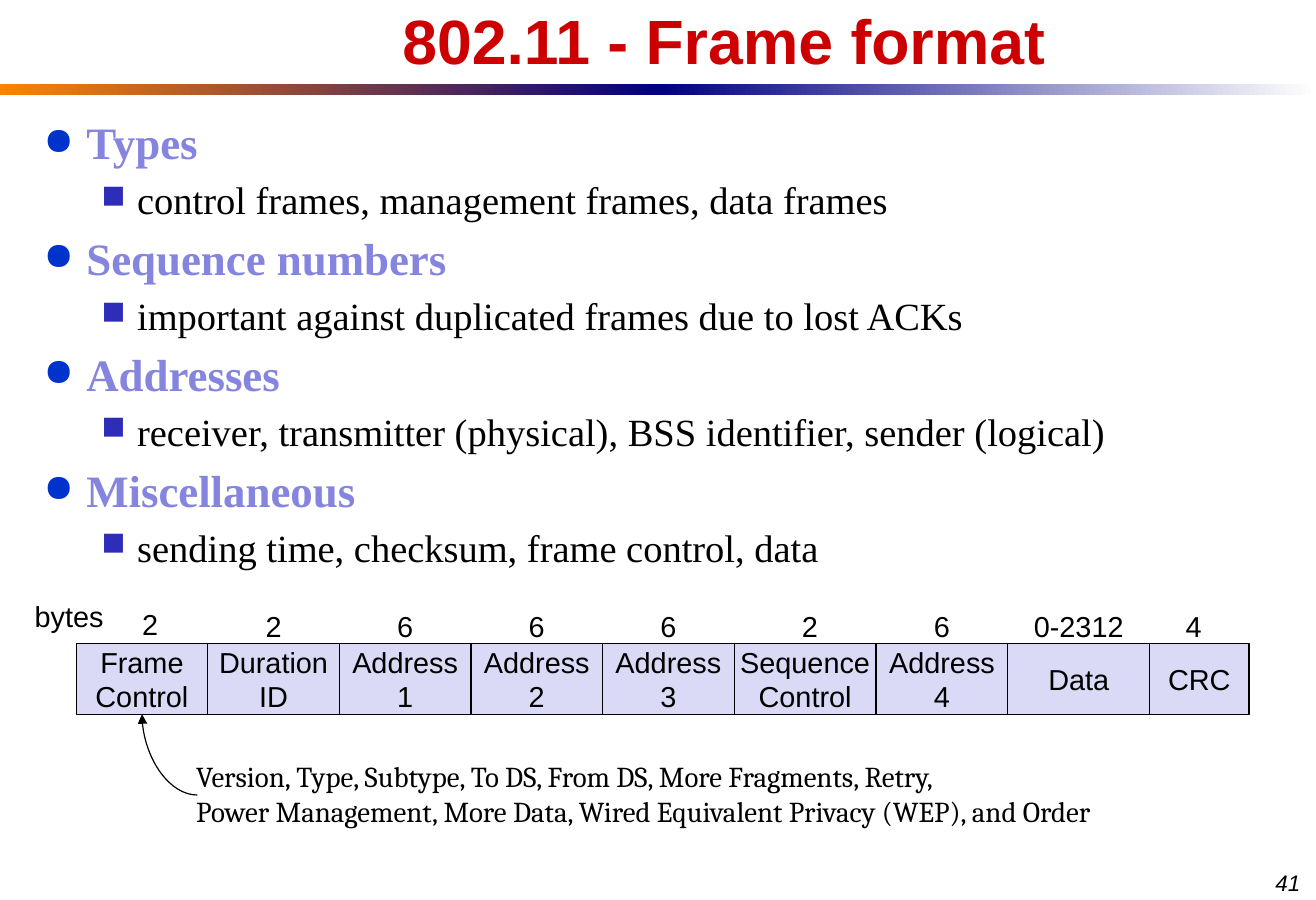
from pptx import Presentation
from pptx import util as u
from pptx.dml import color
from pptx.enum import shapes, text
from pptx.oxml import ns
from lxml import etree

CENTER = text.PP_ALIGN.CENTER
MIDDLE = text.MSO_ANCHOR.MIDDLE

TOPICS = [
    ("Types", "control frames, management frames, data frames"),
    ("Sequence numbers", "important against duplicated frames due to lost ACKs"),
    ("Addresses", "receiver, transmitter (physical), BSS identifier, sender (logical)"),
    ("Miscellaneous", "sending time, checksum, frame control, data"),
]
TOPIC_LEVELS = [
    dict(indent=0.37, hanging=0.37, before=7, bullet="●", bullet_color="0033CC",
         font=dict(size=28, color="8585E0", bold=True)),
    dict(indent=0.81, hanging=0.31, before=6, bullet="■", bullet_color="2D2DB9",
         font=dict(size=24, color="000000", bold=False)),
]
# name lines, width, byte count, shift of the byte count
FIELDS = [
    (["Frame", "Control"], 1.14, "2", (0.07, -0.02)),
    (["Duration", "ID"], 1.14, "2", (0, 0)),
    (["Address", "1"], 1.14, "6", (0, 0)),
    (["Address", "2"], 1.14, "6", (0, 0)),
    (["Address", "3"], 1.14, "6", (0, 0)),
    (["Sequence", "Control"], 1.23, "2", (0.04, 0)),
    (["Address", "4"], 1.14, "6", (0, 0)),
    (["Data"], 1.23, "0-2312", (0, 0)),
    (["CRC"], 0.86, "4", (-0.05, 0)),
]
CONTROL_BITS = [
    "Version, Type, Subtype, To DS, From DS, More Fragments, Retry,",
    "Power Management, More Data, Wired Equivalent Privacy (WEP), and Order",
]


def rgb(value):
    return color.RGBColor.from_string(value)


def inches(*lengths):
    return [u.Inches(length) for length in lengths]


def set_font(font, size=18, color="000000", **values):
    values = {"name": "Arial", "size": u.Pt(size), **values}
    for name, value in values.items():
        setattr(font, name, value)
    font.color.rgb = rgb(color)


def write(shape, lines, align=None, anchor=None, wrap=True, margin=0.11, spacing=None, **font):
    frame = shape.text_frame
    settings = dict(word_wrap=wrap, vertical_anchor=anchor,
                    margin_left=u.Inches(margin), margin_right=u.Inches(margin),
                    margin_top=u.Inches(0.05), margin_bottom=u.Inches(0.05))
    for name, value in settings.items():
        setattr(frame, name, value)
    for index, line in enumerate(lines):
        paragraph = frame.add_paragraph() if index else frame.paragraphs[0]
        paragraph.alignment, paragraph.line_spacing = align, spacing
        run = paragraph.add_run()
        run.text = line
        set_font(run.font, **font)
    return frame.paragraphs


def add_text(slide, box, lines, **values):
    return write(slide.shapes.add_textbox(*inches(*box)), lines, **values)


def add_rectangle(slide, box):
    shape = slide.shapes.add_shape(shapes.MSO_SHAPE.RECTANGLE, *inches(*box))
    shape.shadow.inherit = False
    return shape


def add_rule(slide, box):
    left, top, width, height = box
    half = width / 2
    for index, ends in enumerate([("FF8200", "000082"), ("000082", "FFFFFF")]):
        shape = add_rectangle(slide, (left + index * half, top, half, height))
        shape.line.fill.background()
        shape.fill.gradient()
        shape.fill.gradient_angle = 0
        for stop, value in zip(shape.fill.gradient_stops, ends):
            stop.color.rgb = rgb(value)


def add_bullet(paragraph, level):
    properties = paragraph._p.get_or_add_pPr()
    properties.set("marL", str(u.Inches(level["indent"])))
    properties.set("indent", str(-u.Inches(level["hanging"])))
    bullet_color = etree.SubElement(properties, ns.qn("a:buClr"))
    etree.SubElement(bullet_color, ns.qn("a:srgbClr"), val=level["bullet_color"])
    etree.SubElement(properties, ns.qn("a:buSzPct"), val="85000")
    etree.SubElement(properties, ns.qn("a:buChar"), char=level["bullet"])


def add_topics(slide, box):
    lines = [line for topic in TOPICS for line in topic]
    paragraphs = add_text(slide, box, lines, margin=0.1, spacing=0.95)
    for index, paragraph in enumerate(paragraphs):
        depth = index % 2
        level = TOPIC_LEVELS[depth]
        paragraph.level = depth
        paragraph.space_before = u.Pt(level["before"])
        set_font(paragraph.runs[0].font, name="Times New Roman", **level["font"])
        add_bullet(paragraph, level)


def add_arrow(slide, box):
    left, top, width, height = box
    arrow = slide.shapes.add_connector(shapes.MSO_CONNECTOR.CURVE,
                                       *inches(left, top, left + width, top + height))
    arrow.line.color.rgb = rgb("000000")
    arrow.line.width = u.Pt(0.75)
    properties = arrow._element.spPr
    properties.find(ns.qn("a:xfrm")).set("rot", "10800000")
    properties.find(ns.qn("a:prstGeom")).set("prst", "curvedConnector2")
    line = properties.find(ns.qn("a:ln"))
    etree.SubElement(line, ns.qn("a:tailEnd"), type="triangle")
    etree.SubElement(properties, ns.qn("a:effectLst"))


def add_frame_format(slide, box):
    left, top, width, height = box
    add_text(slide, (left - 0.47, top - 0.44, 0.82, 0.41), ["bytes"], wrap=False)
    field_left = left
    for lines, field_width, count, (right, down) in FIELDS:
        field = add_rectangle(slide, (field_left, top, field_width, height))
        field.fill.solid()
        field.fill.fore_color.rgb = rgb("DADAF6")
        field.line.color.rgb = rgb("000000")
        field.line.width = u.Pt(0.75)
        write(field, lines, align=CENTER, anchor=MIDDLE, wrap=False)
        add_text(slide, (field_left + right, top - 0.35 + down, field_width, 0.41),
                 [count], align=CENTER, wrap=False)
        field_left += field_width
    add_text(slide, (left + 0.93, top + 0.95, 9.08, 0.71), CONTROL_BITS, name="Cambria")
    add_arrow(slide, (left + FIELDS[0][1] / 2, top + height, 0.48, 0.7))


def build_frame_slide(presentation):
    slide = presentation.slides.add_slide(presentation.slide_layouts[6])
    add_rule(slide, (0, 0.73, 11.4, 0.09))
    add_text(slide, (10.95, 7.48, 0.45, 0.34), ["41"], margin=0.1, size=14, italic=True)
    add_text(slide, (1.71, -0.27, 9.12, 1.3), ["802.11 - Frame format"], align=CENTER,
             anchor=MIDDLE, margin=0.1, spacing=0.93, size=39, color="CC0000", bold=True)
    add_topics(slide, (0.28, 0.98, 10.83, 6.58))
    add_frame_format(slide, (0.66, 5.58, 10.17, 0.61))


def main():
    presentation = Presentation()
    presentation.slide_width, presentation.slide_height = inches(11.4, 7.8)
    build_frame_slide(presentation)
    presentation.save("out.pptx")


if __name__ == "__main__":
    main()
